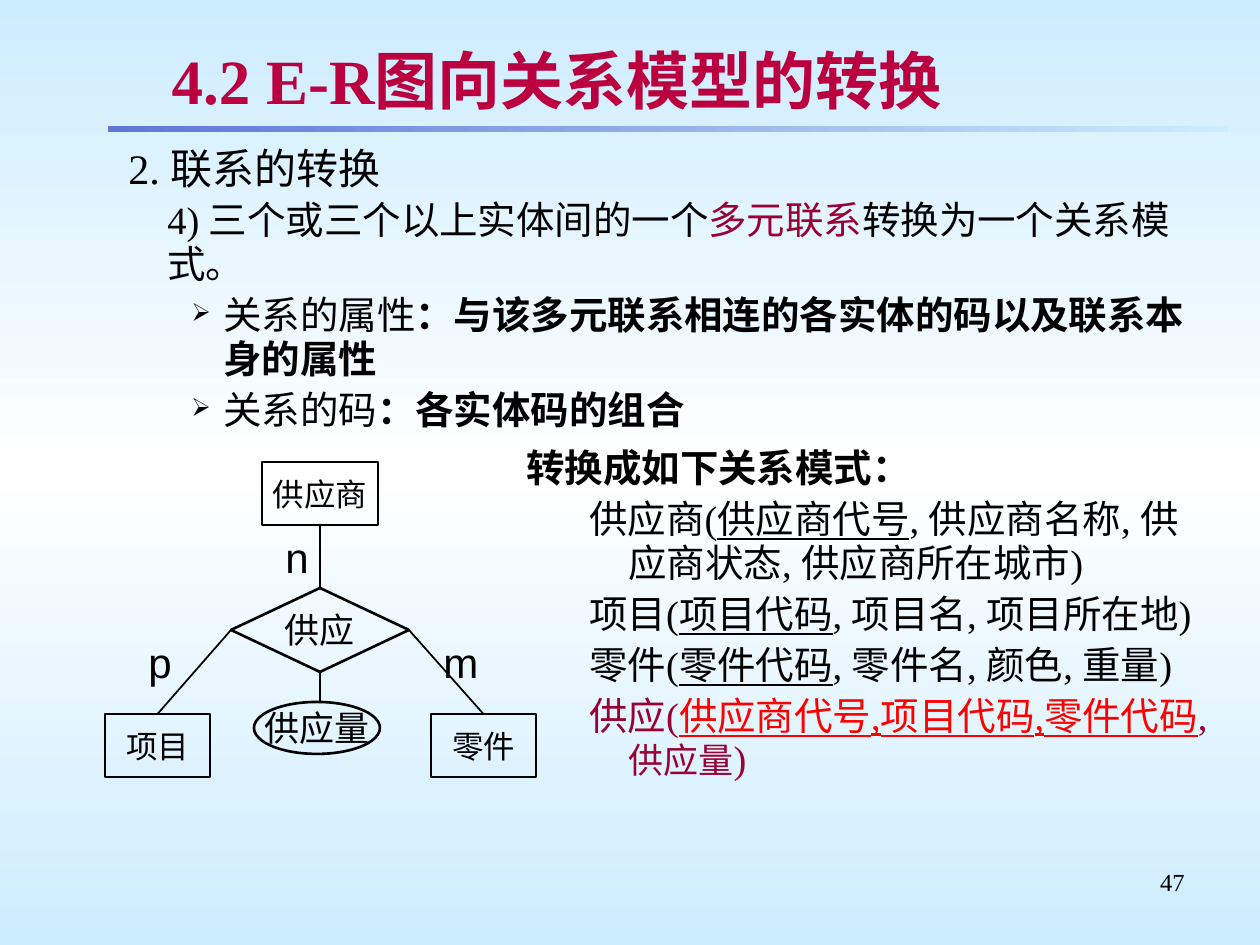
from copy import deepcopy
from lxml.etree import SubElement
from pptx import Presentation
from pptx.dml.color import RGBColor
from pptx.enum.shapes import MSO_CONNECTOR, MSO_SHAPE
from pptx.enum.text import MSO_ANCHOR, MSO_AUTO_SIZE, PP_ALIGN
from pptx.oxml import parse_xml
from pptx.oxml.ns import nsdecls, qn
from pptx.util import Emu, Pt

C = {"sky": "CCECFF", "white": "FFFFFF", "bar": "5F76D7", "title": "BA003E",
     "black": "000000", "wine": "990033", "red": "FF0000", "shade": "C0C0C0"}
SERIF, SANS = "Times New Roman", "Arial"

TITLE = "4.2 E-R图向关系模型的转换"
HEAD = {"left": 63, "sb": 4.5, "size": 24}
POINT = {"left": 102, "sb": 4.1, "ls": 0.95}
BULLET = {"left": 158, "hang": 32, "sb": 4.1, "ls": 0.95, "bullet": "➢"}
LEAD = {"left": 48, "hang": 48, "sb": 4.1, "ls": 0.95}
SCHEMA = {"left": 102, "hang": 39, "sb": 4.1, "ls": 0.95}
LABEL = {"sb": 15, "size": 24, "font": SANS}
BOLD, KEY, WINE = {"bold": True}, {"underline": True}, {"color": "wine"}

RULES = [
    (HEAD, [("2. 联系的转换", {})]),
    (POINT, [("4) 三个或三个以上实体间的一个", {}), ("多元联系", WINE),
             ("转换为一个关系模式。", {})]),
    (BULLET, [("关系的属性", {}),
              ("：与该多元联系相连的各实体的码以及联系本身的属性", BOLD)]),
    (BULLET, [("关系的码", {}), ("：各实体码的组合", BOLD)]),
]
TABLES = [
    ("供应商(", "供应商代号", ", 供应商名称, 供应商状态, 供应商所在城市)"),
    ("项目(", "项目代码", ", 项目名, 项目所在地)"),
    ("零件(", "零件代码", ", 零件名, 颜色, 重量)"),
]
SCHEMAS = [(LEAD, [("转换成如下关系模式：", BOLD)])]
SCHEMAS += [(SCHEMA, [(a, {}), (key, KEY), (b, {})]) for a, key, b in TABLES]
SCHEMAS.append((SCHEMA, [
    ("供应(", WINE),
    ("供应商代号,项目代码,零件代码", {"color": "red", "underline": True}),
    (",", WINE),
    ("供应量", {"color": "wine", "size": 20, "font": SANS}),
    (")", WINE)]))

NODES = {
    "项目": (MSO_SHAPE.RECTANGLE, (105, 714, 105, 63), 18),
    "供应商": (MSO_SHAPE.RECTANGLE, (262, 462, 116, 63), 18),
    "零件": (MSO_SHAPE.RECTANGLE, (431, 714, 105, 63), 18),
    "供应": (MSO_SHAPE.DIAMOND, (231, 588, 178, 84), 20),
    "供应量": (MSO_SHAPE.OVAL, (254, 702, 126, 52), 20),
}
LINKS = [("供应商", 2, "供应", 0), ("供应", 1, "项目", 0), ("供应", 3, "零件", 0)]
LABELS = {"n": (273, 525), "m": (431, 630), "p": (136, 630)}


def px(n):
    return Emu(round(n * 914400 / 126))


def rgb(name):
    return RGBColor.from_string(C[name])


def gradient(fill, colors, angle):
    fill.gradient()
    fill.gradient_angle = angle
    stops = fill.gradient_stops
    if len(colors) == 3:
        first = stops[0]._gs
        first.addnext(deepcopy(first))
        stops = fill.gradient_stops
    for i, (stop, color) in enumerate(zip(stops, colors)):
        stop.color.rgb = rgb(color)
        stop.position = i / (len(colors) - 1)


def add_run(p, text, size=22, font=SERIF, color="black", bold=False, underline=False):
    r = p.add_run()
    r.text = text
    f = r.font
    f.size, f.name, f.bold, f.underline = Pt(size), font, bold, underline
    f.color.rgb = rgb(color)
    return r


def add_text(s, box, paragraphs, align=PP_ALIGN.LEFT):
    tf = s.shapes.add_textbox(*map(px, box)).text_frame
    tf.word_wrap = True
    for i, (style, runs) in enumerate(paragraphs):
        p = tf.paragraphs[0] if i == 0 else tf.add_paragraph()
        p.alignment = align
        p.space_before = Pt(style.get("sb", 0))
        p.line_spacing = style.get("ls", 1.0)
        pPr = p._p.get_or_add_pPr()
        pPr.set("marL", str(px(style.get("left", 0))))
        pPr.set("indent", str(-px(style.get("hang", 0))))
        if "bullet" in style:
            SubElement(SubElement(pPr, qn("a:buClr")), qn("a:srgbClr"), val=C["black"])
            SubElement(pPr, qn("a:buSzPct"), val="65000")
            SubElement(pPr, qn("a:buChar"), char=style["bullet"])
        base = {k: style[k] for k in ("size", "font") if k in style}
        for text, fmt in runs:
            add_run(p, text, **{**base, **fmt})


def add_node(s, text, kind, box, size):
    sp = s.shapes.add_shape(kind, *map(px, box))
    sp.shadow.inherit = False
    sp.fill.background()
    sp.line.color.rgb = rgb("black")
    sp.line.width = Pt(1.5)
    tf = sp.text_frame
    tf.word_wrap = False
    tf.vertical_anchor = MSO_ANCHOR.MIDDLE
    p = tf.paragraphs[0]
    p.alignment = PP_ALIGN.CENTER
    add_run(p, text, size, SANS)
    return sp


def add_line(s, x1=0, y1=0, x2=0, y2=0):
    line = s.shapes.add_connector(MSO_CONNECTOR.STRAIGHT, *map(px, (x1, y1, x2, y2)))
    line.line.color.rgb = rgb("black")
    line.line.width = Pt(1)
    SubElement(line._element.spPr, qn("a:effectLst"))
    return line


def add_title(s):
    sp = s.shapes.title
    sp.left, sp.top, sp.width, sp.height = map(px, (159, 37, 1038, 84))
    tf = sp.text_frame
    tf.auto_size = MSO_AUTO_SIZE.NONE
    tf.vertical_anchor = MSO_ANCHOR.MIDDLE
    tf.margin_top = tf.margin_bottom = px(5)
    p = tf.paragraphs[0]
    p.alignment = PP_ALIGN.LEFT
    r = add_run(p, TITLE, 36, color="title", bold=True)
    shadow = parse_xml(
        f'<a:effectLst {nsdecls("a")}><a:outerShdw dist="17961" dir="2700000">'
        f'<a:srgbClr val="{C["shade"]}"/></a:outerShdw></a:effectLst>')
    r.font._element.find(qn("a:solidFill")).addnext(shadow)


def main():
    prs = Presentation()
    prs.slide_width, prs.slide_height = px(1260), px(945)
    s = prs.slides.add_slide(prs.slide_layouts[5])
    gradient(s.background.fill, ["sky", "white", "sky"], 90)

    bar = s.shapes.add_shape(MSO_SHAPE.RECTANGLE, *map(px, (108, 126, 1120, 6)))
    bar.shadow.inherit = False
    bar.line.fill.background()
    gradient(bar.fill, ["bar", "sky"], 0)

    add_title(s)
    add_text(s, (53, 136, 1166, 305), RULES)
    nodes = {text: add_node(s, text, *node) for text, node in NODES.items()}
    for start, start_site, end, end_site in LINKS:
        line = add_line(s)
        line.begin_connect(nodes[start], start_site)
        line.end_connect(nodes[end], end_site)
    add_line(s, 320, 672, 320, 703).begin_connect(nodes["供应"], 2)

    add_text(s, (514, 441, 703, 431), SCHEMAS)
    for text, (x, y) in LABELS.items():
        add_text(s, (x, y, 63, 63), [(LABEL, [(text, {})])])
    add_text(s, (903, 861, 294, 66), [({"size": 14}, [("47", {})])], PP_ALIGN.RIGHT)
    prs.save("out.pptx")


if __name__ == "__main__":
    main()
